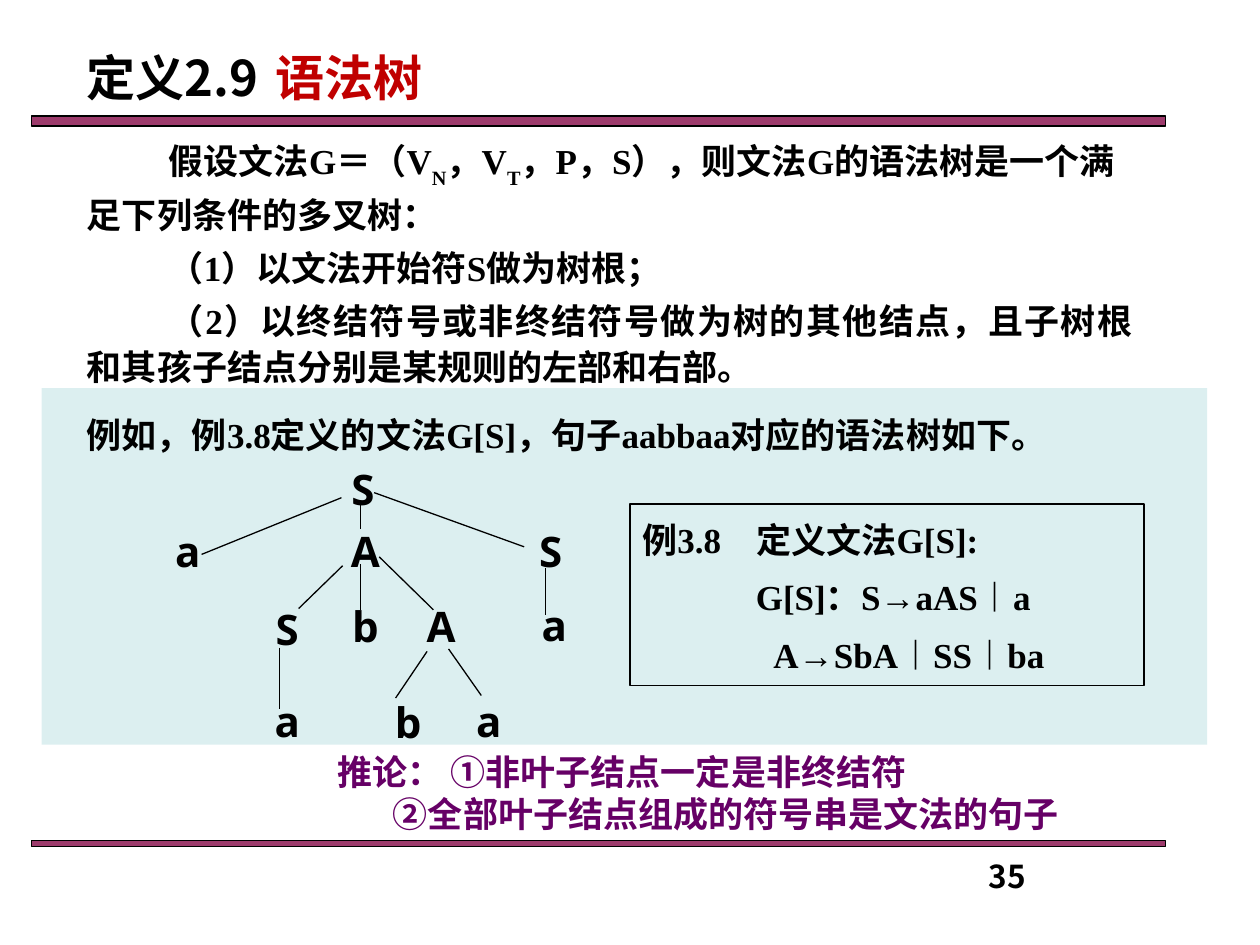
"""Build the syntax tree definition slide."""
from dataclasses import dataclass
from typing import Optional

from lxml.etree import SubElement
from pptx import Presentation
from pptx.dml.color import RGBColor
from pptx.enum.shapes import MSO_CONNECTOR, MSO_SHAPE
from pptx.enum.text import MSO_ANCHOR, MSO_AUTO_SIZE, PP_ALIGN
from pptx.oxml.ns import qn
from pptx.util import Inches, Pt


@dataclass(frozen=True)
class Theme:
    black: str = "000000"
    red: str = "C00000"
    purple: str = "660066"
    bar: str = "993366"
    panel: str = "BBE0E3"
    serif: str = "Times New Roman"
    sans: str = "Noto Sans"
    cjk: str = "Noto Sans CJK SC"
    title: int = 28
    node: int = 24
    body: int = 20
    number: int = 18
    line: float = 0.75


THEME = Theme()


@dataclass(frozen=True)
class Style:
    size: int
    font: str
    color: str = THEME.black


@dataclass(frozen=True)
class Span:
    text: str
    color: Optional[str] = None
    subscript: bool = False


@dataclass(frozen=True)
class Para:
    spans: tuple[Span, ...]
    align: PP_ALIGN = PP_ALIGN.LEFT
    left: float = 0
    first: float = 0
    spacing: float = 1.0
    before: float = 0
    tab: Optional[float] = None


@dataclass(frozen=True)
class Band:
    left: float
    top: float
    width: float
    height: float
    color: str
    opacity: int
    outlined: bool


@dataclass(frozen=True)
class Node:
    text: str
    left: float
    top: float


@dataclass(frozen=True)
class Edge:
    x1: float
    y1: float
    x2: float
    y2: float


TITLE = Style(THEME.title, THEME.cjk)
BODY = Style(THEME.body, THEME.serif)
NODE = Style(THEME.node, THEME.sans)
RESULT = Style(THEME.body, THEME.cjk, THEME.purple)
NUMBER = Style(THEME.number, THEME.cjk)

BANDS = (
    Band(0.25, 0.92, 9, 0.08, THEME.bar, 96, True),
    Band(0.25, 6.67, 9, 0.05, THEME.bar, 96, True),
    Band(0.33, 3.08, 9.25, 2.83, THEME.panel, 50, False),
)
NODES = (
    Node("S", 2.54, 3.63), Node("a", 1.15, 4.12), Node("A", 2.56, 4.12),
    Node("S", 4.03, 4.12), Node("S", 1.94, 4.74), Node("b", 2.56, 4.72),
    Node("A", 3.16, 4.72), Node("a", 4.06, 4.71), Node("a", 1.94, 5.47),
    Node("b", 2.9, 5.48), Node("a", 3.54, 5.47),
)
EDGES = (
    Edge(2.86, 4.01, 2.86, 4.2), Edge(2.71, 3.95, 1.6, 4.4),
    Edge(2.97, 3.91, 4.16, 4.34), Edge(2.72, 4.49, 2.37, 4.83),
    Edge(2.86, 4.48, 2.86, 4.84), Edge(3.01, 4.42, 3.44, 4.84),
    Edge(4.33, 4.51, 4.33, 4.88), Edge(2.22, 5.14, 2.22, 5.63),
    Edge(3.39, 5.17, 3.14, 5.54), Edge(3.56, 5.15, 3.82, 5.52),
)
CONDITIONS = (
    ((Span("假设文法G＝（V"), Span("N", subscript=True), Span("，V"),
      Span("T", subscript=True),
      Span("，P，S），则文法G的语法树是一个满足下列条件的多叉树：")), PP_ALIGN.LEFT),
    ((Span("（1）以文法开始符S做为树根；"),), PP_ALIGN.LEFT),
    ((Span("（2）以终结符号或非终结符号做为树的其他结点，且子树根和其孩子结点"
           "分别是某规则的左部和右部。"),), PP_ALIGN.JUSTIFY),
)
GRAMMAR = (("例3.8　定义文法G[S]:", 0), ("G[S]：S→aAS︱a", 0.9), ("A→SbA︱SS︱ba", 1.04))


def write(shape, paras: tuple[Para, ...], style: Style) -> None:
    """Fill a shape with formatted paragraphs."""
    frame = shape.text_frame
    frame.word_wrap = True
    frame.auto_size = MSO_AUTO_SIZE.NONE
    frame.vertical_anchor = MSO_ANCHOR.TOP
    for index, item in enumerate(paras):
        para = frame.add_paragraph() if index else frame.paragraphs[0]
        para.alignment = item.align
        para.line_spacing = item.spacing
        para.space_before = Pt(item.before)
        props = para._p.get_or_add_pPr()
        props.set("marL", str(Inches(item.left)))
        props.set("indent", str(Inches(item.first)))
        SubElement(props, qn("a:buNone"))
        if item.tab is not None:
            stops = SubElement(props, qn("a:tabLst"))
            SubElement(stops, qn("a:tab"), pos=str(Inches(item.tab)), algn="l")
        for part in item.spans:
            span = para.add_run()
            span.text = part.text
            span.font.size = Pt(style.size)
            span.font.bold = True
            span.font.name = style.font
            span.font.color.rgb = RGBColor.from_string(part.color or style.color)
            props = span._r.get_or_add_rPr()
            SubElement(props, qn("a:ea"), typeface=THEME.cjk)
            if part.subscript:
                props.set("baseline", "-30000")


def place(shape, left: float, top: float, width: float, height: float):
    """Move and size a shape."""
    shape.left, shape.top = Inches(left), Inches(top)
    shape.width, shape.height = Inches(width), Inches(height)
    return shape


def add_text(page, area: tuple[float, ...], paras: tuple[Para, ...], style: Style) -> None:
    """Add a text box."""
    write(page.shapes.add_textbox(*map(Inches, area)), paras, style)


def outline(line) -> None:
    """Apply the thin black line."""
    line.color.rgb = RGBColor.from_string(THEME.black)
    line.width = Pt(THEME.line)


def add_box(page, left: float, top: float, width: float, height: float):
    """Add a rectangle without a shadow."""
    box = page.shapes.add_shape(MSO_SHAPE.RECTANGLE, *map(Inches, (left, top, width, height)))
    box.shadow.inherit = False
    return box


def add_band(page, band: Band) -> None:
    """Add a translucent coloured rectangle."""
    box = add_box(page, band.left, band.top, band.width, band.height)
    box.fill.solid()
    box.fill.fore_color.rgb = RGBColor.from_string(band.color)
    color = box._element.spPr.find(qn("a:solidFill")).find(qn("a:srgbClr"))
    SubElement(color, qn("a:alpha"), val=str(band.opacity * 1000))
    if band.outlined:
        outline(box.line)
    else:
        box.line.fill.background()


def add_edge(page, edge: Edge) -> None:
    """Add one branch of the tree."""
    ends = map(Inches, (edge.x1, edge.y1, edge.x2, edge.y2))
    branch = page.shapes.add_connector(MSO_CONNECTOR.STRAIGHT, *ends)
    outline(branch.line)
    SubElement(branch._element.spPr, qn("a:effectLst"))


def build() -> None:
    """Build and save the deck."""
    deck = Presentation()
    deck.slide_width, deck.slide_height = Inches(10), Inches(7.5)
    page = deck.slides.add_slide(deck.slide_layouts[1])
    heading = (Span("定义2.9\t"), Span("语法树", THEME.red))
    write(place(page.shapes.title, 0.59, 0.33, 3.58, 0.57), (Para(heading, tab=1.72),), TITLE)
    body = place(page.placeholders[1], 0.59, 1.02, 8.5, 2.06)
    write(body, tuple(Para(spans, align, first=0.65, spacing=1.1, before=4)
                      for spans, align in CONDITIONS), BODY)
    for band in BANDS:
        add_band(page, band)
    for node in NODES:
        label = Para((Span(node.text),), PP_ALIGN.CENTER)
        add_text(page, (node.left, node.top, 0.68, 0.56), (label,), NODE)
    for edge in EDGES:
        add_edge(page, edge)
    example = Span("例如，例3.8定义的文法G[S]，句子aabbaa对应的语法树如下。")
    add_text(page, (0.59, 3.23, 8.08, 0.43), (Para((example,)),), BODY)
    results = (Para((Span("推论： ①非叶子结点一定是非终结符"),)),
               Para((Span("②全部叶子结点组成的符号串是文法的句子"),), left=0.44))
    add_text(page, (2.58, 5.91, 6.58, 0.77), results, RESULT)
    grammar = add_box(page, 5, 4, 4.08, 1.44)
    grammar.fill.background()
    outline(grammar.line)
    write(grammar, tuple(Para((Span(text),), left=left, spacing=1.2, before=4)
                         for text, left in GRAMMAR), BODY)
    add_text(page, (7.75, 6.75, 2.33, 0.42), (Para((Span("35"),)),), NUMBER)
    deck.save("out.pptx")


build()
